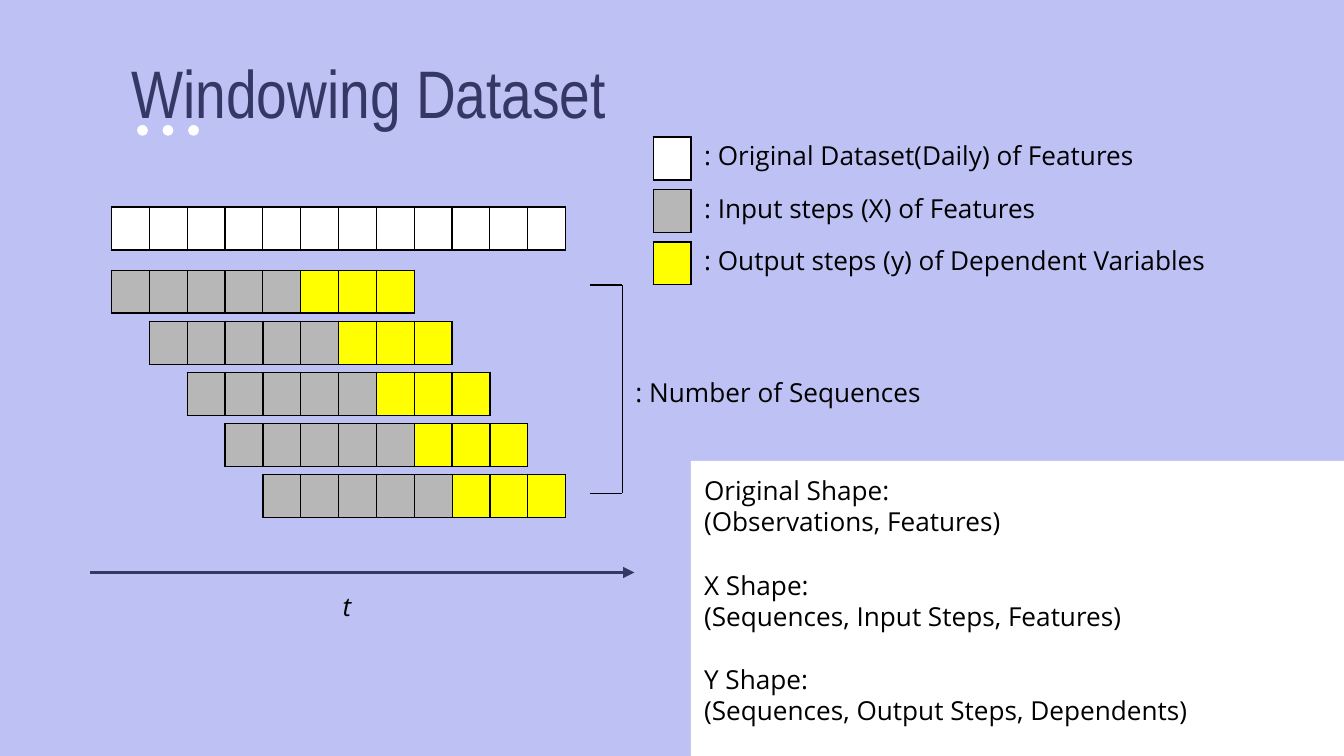
from pptx import Presentation
from pptx.dml.color import RGBColor
from pptx.enum.shapes import MSO_CONNECTOR as CONN, MSO_SHAPE as SHAPE
from pptx.enum.text import MSO_ANCHOR as ANCHOR, PP_ALIGN as ALIGN
from pptx.oxml.ns import qn
from pptx.util import Inches, Pt
from lxml.etree import SubElement

# Content
TITLE = "Windowing Dataset"
BG, NAVY, BLACK = "BDC1F3", "353864", "000000"
WHITE, GRAY, YELLOW = "FFFFFF", "B7B7B7", "FFFF00"
LEGEND = [
    (WHITE, ": Original Dataset(Daily) of Features", 3.75),
    (GRAY, ": Input steps (X) of Features", 3.55),
    (YELLOW, ": Output steps (y) of Dependent Variables", 4.05),
]
SHAPES = [
    ("Original Shape:", "(Observations, Features)"),
    ("X Shape:", "(Sequences, Input Steps, Features)"),
    ("Y Shape:", "(Sequences, Output Steps, Dependents)"),
]
STEPS, INPUTS, OUTPUTS = 12, 5, 3
CELL_W, CELL_H = 3.38 / STEPS, 0.32
GRID_LEFT = 0.83

# 16:9 slide
prs = Presentation()
prs.slide_width, prs.slide_height = Inches(10), Inches(10 * 9 / 16)
s = prs.slides.add_slide(prs.slide_layouts[6])


def rgb(color):
    return RGBColor.from_string(color)


def box(*lengths):
    return [Inches(v) for v in lengths]


def style(p, size=14, font="Open Sans", color=BLACK, italic=False):
    for r in p.runs:
        r.font.size, r.font.name, r.font.italic = Pt(size), font, italic
        r.font.color.rgb = rgb(color)


def inset(tf):
    tf.word_wrap = True
    tf.margin_left = tf.margin_right = tf.margin_top = tf.margin_bottom = Inches(0.1)


def add_text(text, x, y, w, h=0.44, anchor=ANCHOR.TOP, **look):
    tf = s.shapes.add_textbox(*box(x, y, w, h)).text_frame
    inset(tf)
    tf.vertical_anchor = anchor
    tf.text = text
    style(tf.paragraphs[0], **look)


def add_plain(kind, x, y, w, h, color):
    sp = s.shapes.add_shape(kind, *box(x, y, w, h))
    sp.shadow.inherit = False
    sp.fill.solid()
    sp.fill.fore_color.rgb = rgb(color)
    sp.line.fill.background()
    return sp


def add_line(x1, y1, x2, y2, color=BLACK, width=0.75, arrow=False):
    line = s.shapes.add_connector(CONN.STRAIGHT, *box(x1, y1, x2, y2))
    line.line.color.rgb = rgb(color)
    line.line.width = Pt(width)
    if arrow:
        SubElement(line.line._get_or_add_ln(), qn("a:tailEnd"), type="triangle")
    SubElement(line._element.spPr, qn("a:effectLst"))


def add_strip(x, y, colors):
    size = box(x, y, CELL_W * len(colors), CELL_H)
    table = s.shapes.add_table(1, len(colors), *size).table
    table.first_row = table.horz_banding = False
    for column, cell, color in zip(table.columns, table.rows[0].cells, colors):
        column.width = Inches(CELL_W)
        cell.margin_left = cell.margin_right = cell.margin_top = cell.margin_bottom = 0
        tcPr = cell._tc.get_or_add_tcPr()
        for side in ("lnL", "lnR", "lnT", "lnB"):
            ln = SubElement(tcPr, qn(f"a:{side}"), w=str(Pt(0.75)))
            SubElement(SubElement(ln, qn("a:solidFill")), qn("a:srgbClr"), val=BLACK)
        cell.fill.solid()
        cell.fill.fore_color.rgb = rgb(color)


# Background, title and dots
s.background.fill.solid()
s.background.fill.fore_color.rgb = rgb(BG)
add_text(TITLE, 0.88, 0.23, 3.87, 0.85, ANCHOR.BOTTOM,
         size=36, font="Arial Narrow", color=NAVY)
for i in range(3):
    add_plain(SHAPE.OVAL, 1.02 + 0.19 * i, 0.93, 0.08, 0.08, WHITE)

# Full series, then windows that each slide one step
add_strip(GRID_LEFT, 1.54, [WHITE] * STEPS)
for i in range(STEPS - INPUTS - OUTPUTS + 1):
    add_strip(GRID_LEFT + CELL_W * i, 2.01 + 0.38 * i,
              [GRAY] * INPUTS + [YELLOW] * OUTPUTS)

# Time axis
add_line(0.67, 4.26, 4.72, 4.26, NAVY, 1.5, arrow=True)
add_text("t", 2.45, 4.29, 0.28, italic=True)

# Legend
for i, (color, label, width) in enumerate(LEGEND):
    add_strip(4.86, 1.02 + 0.39 * i, [color])
    add_text(label, 5.14, 0.94 + 0.39 * i, width)

# Bracket around the windows
top, bottom, right = 2.12, 3.67, 4.63
for y in (top, bottom):
    add_line(4.39, y, right, y)
add_line(right, top, right, bottom)
add_text(": Number of Sequences", right, 2.7, 2.81)

# Panel of array shapes
panel = add_plain(SHAPE.RECTANGLE, 5.14, 3.43, 4.91, 2.32, WHITE)
tf = panel.text_frame
inset(tf)
tf.vertical_anchor = ANCHOR.TOP
tf.text = "\n".join(line for pair in SHAPES for line in pair)
for i, p in enumerate(tf.paragraphs):
    p.alignment = ALIGN.LEFT
    p.space_before = Pt(17 if i and i % 2 == 0 else 0)
    style(p)

prs.save("out.pptx")
